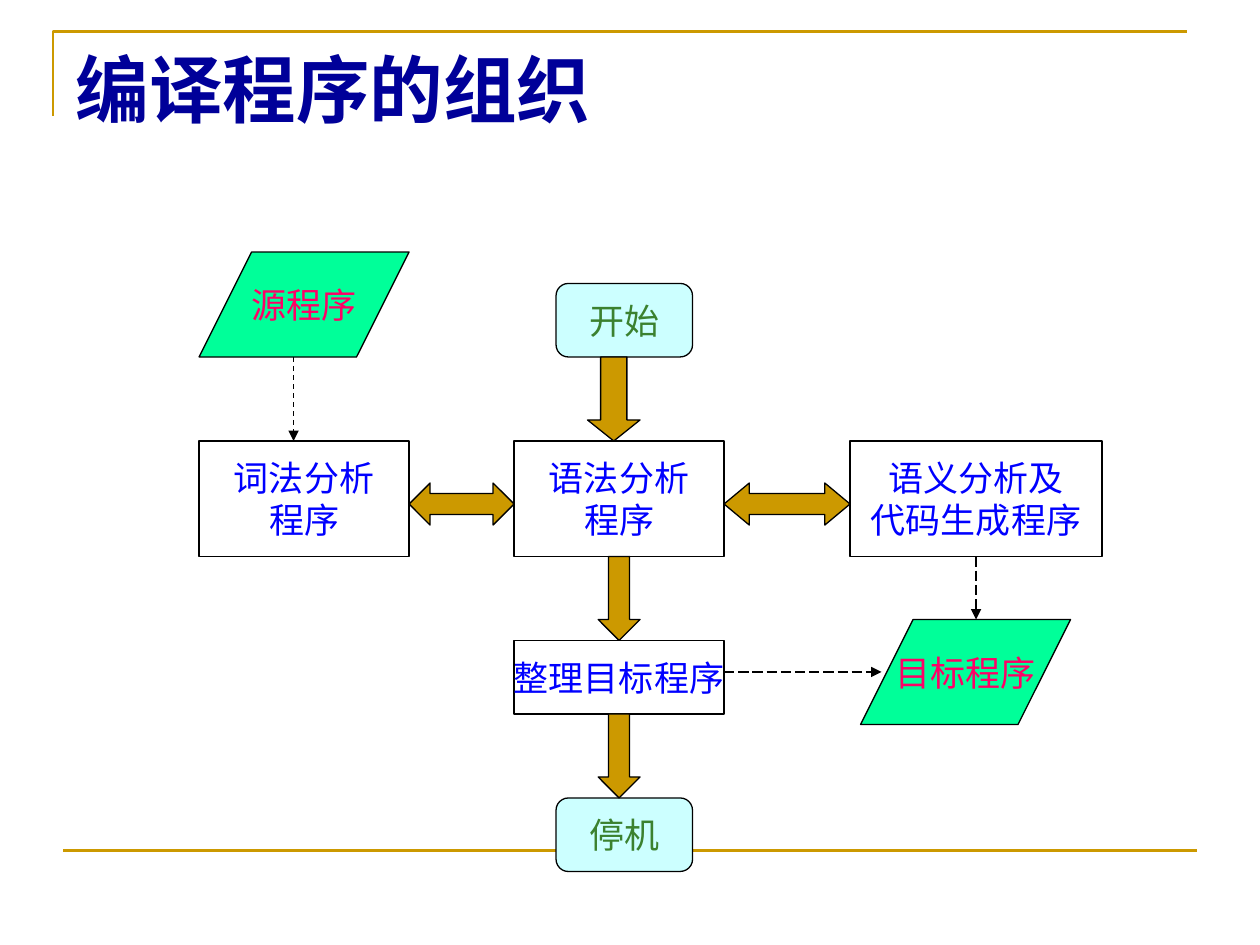
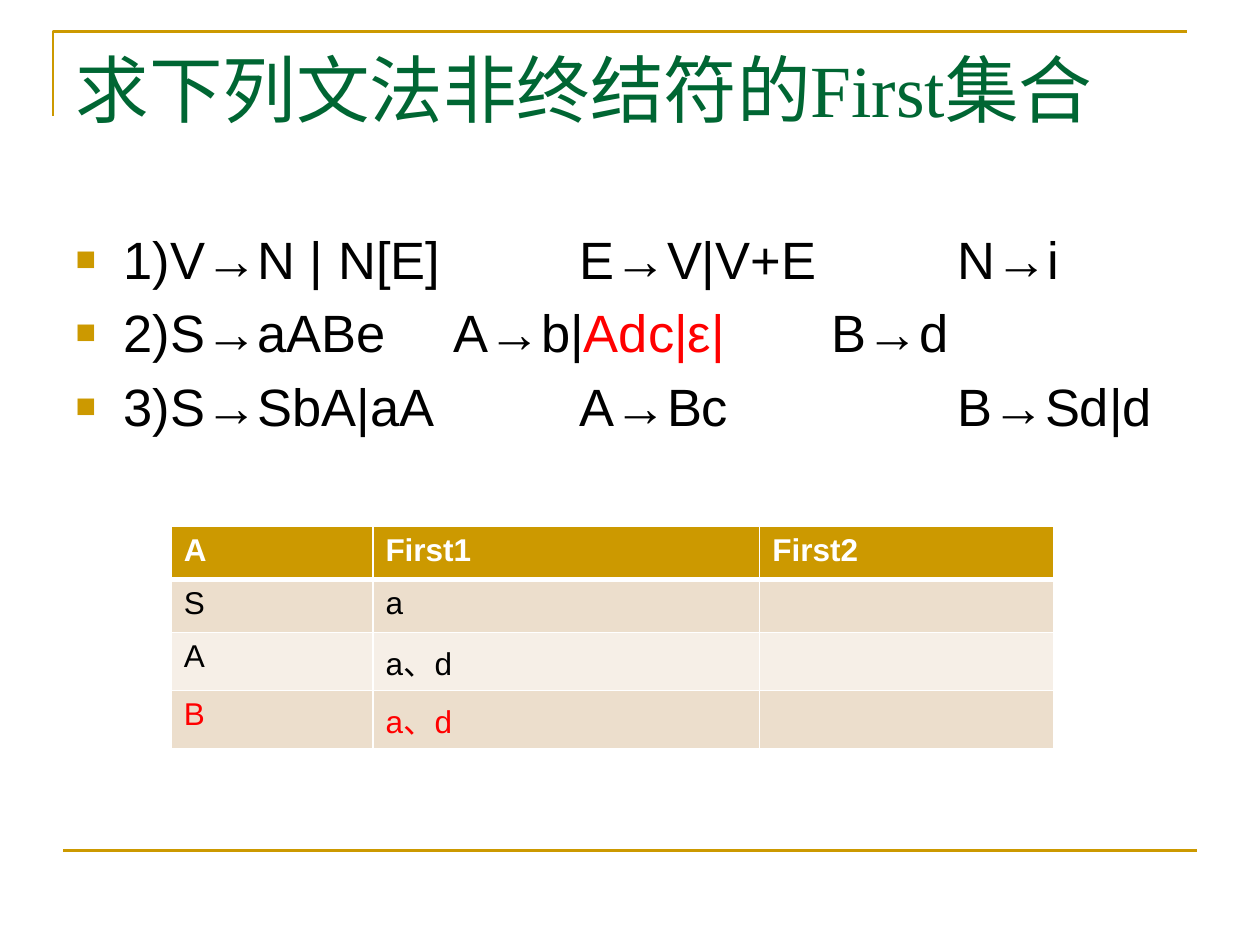
from pptx import Presentation
from pptx.dml.color import RGBColor
from pptx.enum import dml, shapes, text
from pptx.oxml.ns import qn
from pptx.util import Inches, Pt
from lxml import etree

GOLD = RGBColor(0xCC, 0x99, 0x00)
NAVY = RGBColor(0x00, 0x00, 0x99)
PINE = RGBColor(0x00, 0x66, 0x33)
BLUE = RGBColor(0x00, 0x00, 0xFF)
PINK = RGBColor(0xFF, 0x00, 0x66)
MINT = RGBColor(0x00, 0xFF, 0x99)
AQUA = RGBColor(0xCC, 0xFF, 0xFF)
MOSS = RGBColor(0x3B, 0x81, 0x2F)
RED = RGBColor(0xFF, 0x00, 0x00)
BLACK = RGBColor(0x00, 0x00, 0x00)
WHITE = RGBColor(0xFF, 0xFF, 0xFF)
SAND = RGBColor(0xEC, 0xDE, 0xCC)
CREAM = RGBColor(0xF6, 0xEF, 0xE7)

SERIF, SANS = "Times New Roman", "Arial"
KIND = shapes.MSO_SHAPE
DASH = dml.MSO_LINE.DASH
LONG = dml.MSO_LINE.LONG_DASH


# Shared helpers
def sub(parent, tag, **attrs):
    return etree.SubElement(parent, qn(tag), attrs)


def add_run(para, words, font, size, color, bold=False):
    run = para.add_run()
    run.text = words
    run.font.name, run.font.size = font, Pt(size)
    run.font.color.rgb, run.font.bold = color, bold


def add_line(slide, start, end, color, width, dash=None, arrow=False):
    line = slide.shapes.add_connector(
        shapes.MSO_CONNECTOR.STRAIGHT, *start, *end)
    line.line.color.rgb, line.line.width = color, Pt(width)
    if dash:
        line.line.dash_style = dash
    if arrow:
        sub(line.line._get_or_add_ln(), "a:tailEnd", type="triangle")
    sub(line._element.spPr, "a:effectLst")


def place(shape, left, top, width, height):
    shape.left, shape.top = Inches(left), Inches(top)
    shape.width, shape.height = Inches(width), Inches(height)


def add_frame(slide):
    """Corner rule at the top and footer rule."""
    build = slide.shapes.build_freeform(Inches(0.42), Inches(0.92))
    build.add_line_segments([(Inches(0.42), Inches(0.25)),
                             (Inches(9.42), Inches(0.25))], close=False)
    rule = build.convert_to_shape()
    rule.shadow.inherit = False
    rule.fill.background()
    rule.line.color.rgb, rule.line.width = GOLD, Pt(1.5)
    add_line(slide, (Inches(0.5), Inches(6.75)),
             (Inches(9.5), Inches(6.75)), GOLD, 1.5)


def new_slide(deck, layout, title, color, bold=False):
    slide = deck.slides.add_slide(deck.slide_layouts[layout])
    add_frame(slide)
    head = slide.shapes.title
    place(head, 0.5, 0.3, 9, 1.25)
    frame = head.text_frame
    frame.vertical_anchor = text.MSO_ANCHOR.TOP
    frame.auto_size = text.MSO_AUTO_SIZE.NONE
    para = frame.paragraphs[0]
    para.alignment = text.PP_ALIGN.LEFT
    add_run(para, title, SERIF, 42, color, bold)
    return slide


# Flow chart, on a grid of twelfths of an inch
def draw_flow(slide, left, top):
    def unit(count):
        return Inches(count / 12)

    def spot(col, row):
        return left + unit(col), top + unit(row)

    def add_node(kind, col, row, wide, high, fill, color=None, lines=(),
                 adjust=()):
        node = slide.shapes.add_shape(
            kind, *spot(col, row), unit(wide), unit(high))
        node.shadow.inherit = False
        node.fill.solid()
        node.fill.fore_color.rgb = fill
        node.line.color.rgb, node.line.width = BLACK, Pt(0.75)
        for i, value in enumerate(adjust):
            node.adjustments[i] = value
        frame = node.text_frame
        frame.word_wrap = False
        frame.vertical_anchor = text.MSO_ANCHOR.MIDDLE
        for i, words in enumerate(lines):
            para = frame.add_paragraph() if i else frame.paragraphs[0]
            para.alignment = text.PP_ALIGN.CENTER
            add_run(para, words, SERIF, 20, color)

    # Steps
    for col, row, wide, high, lines in [
            (30, 18, 20, 11, ("语法分析", "程序")),
            (62, 18, 24, 11, ("语义分析及", "代码生成程序")),
            (0, 18, 20, 11, ("词法分析", "程序")),
            (30, 37, 20, 7, ("整理目标程序",))]:
        add_node(KIND.RECTANGLE, col, row, wide, high, WHITE, BLUE, lines)

    # Data in and out
    for col, row, words in [(0, 0, "源程序"), (63, 35, "目标程序")]:
        add_node(KIND.PARALLELOGRAM, col, row, 20, 10, MINT, PINK,
                 [words], [0.5])

    # Start and stop
    for row, words in [(52, "停机"), (3, "开始")]:
        add_node(KIND.ROUNDED_RECTANGLE, 34, row, 13, 7, AQUA, MOSS, [words])

    # Block arrows
    for kind, col, row, wide, high, tip in [
            (KIND.DOWN_ARROW, 37, 10, 5, 8, 0.4),
            (KIND.DOWN_ARROW, 38, 29, 4, 8, 0.5),
            (KIND.DOWN_ARROW, 38, 44, 4, 8, 0.5),
            (KIND.LEFT_RIGHT_ARROW, 20, 22, 10, 4, 0.5),
            (KIND.LEFT_RIGHT_ARROW, 50, 22, 12, 4, 0.6)]:
        add_node(kind, col, row, wide, high, GOLD, adjust=(0.5, tip))

    # Dashed data links
    for start, end, dash in [((50, 40), (65, 40), LONG),
                             ((74, 29), (74, 35), LONG),
                             ((9, 10), (9, 18), DASH)]:
        add_line(slide, spot(*start), spot(*end), BLACK, 0.75, dash, True)


# Grammar list
def fill_list(body, rules):
    place(body, 0.5, 1.75, 9, 4.95)
    frame = body.text_frame
    frame.auto_size = text.MSO_AUTO_SIZE.NONE
    for i, parts in enumerate(rules):
        para = frame.add_paragraph() if i else frame.paragraphs[0]
        para.space_before = Pt(6 if i else 0)
        props = para._p.get_or_add_pPr()
        indent = Inches(0.38)
        props.set("marL", str(indent))
        props.set("indent", str(-indent))
        props.set("defTabSz", str(Inches(1)))
        tint = sub(props, "a:buClr")
        sub(tint, "a:srgbClr", val=str(GOLD))
        sub(props, "a:buSzPct", val="65000")
        sub(props, "a:buFont", typeface=SANS)
        sub(props, "a:buChar", char="■")
        for words, color in parts:
            add_run(para, words, SANS, 30, color)


# Table of First sets
def set_edges(cell, bottom):
    props = cell._tc.get_or_add_tcPr()
    edges = zip(("a:lnL", "a:lnR", "a:lnT", "a:lnB"), (1, 1, 1, bottom))
    for i, (tag, width) in enumerate(edges):
        edge = etree.Element(qn(tag), w=str(Pt(width)))
        sub(sub(edge, "a:solidFill"), "a:srgbClr", val=str(WHITE))
        props.insert(i, edge)


def draw_table(slide, left, top, rows):
    widths = (1.6, 3.07, 2.33)
    high = Inches(0.42)
    grid = slide.shapes.add_table(len(rows), len(widths), left, top,
                                  Inches(sum(widths)), high * len(rows)).table
    for col, width in zip(grid.columns, widths):
        col.width = Inches(width)
    for r, (fill, color, words) in enumerate(rows):
        grid.rows[r].height = high
        for c, word in enumerate(words):
            cell = grid.cell(r, c)
            cell.fill.solid()
            cell.fill.fore_color.rgb = fill
            set_edges(cell, 1 if r else 3)
            para = cell.text_frame.paragraphs[0]
            if word:
                add_run(para, word, SANS, 18, color, r == 0)
            else:
                para.font.size = Pt(18)


def main():
    deck = Presentation()
    deck.slide_width, deck.slide_height = Inches(10), Inches(7.5)

    slide = new_slide(deck, 5, "编译程序的组织", NAVY, True)
    draw_flow(slide, Inches(1.58), Inches(2))

    slide = new_slide(deck, 1, "求下列文法非终结符的First集合", PINE)
    fill_list(slide.placeholders[1], [
        [("1)V→N | N[E] \tE→V|V+E\t\tN→i", BLACK)],
        [("2)S→aABe \tA→b|", BLACK), ("Adc|ε|", RED), ("\tB→d", BLACK)],
        [("3)S→SbA|aA \t\tA→Bc\t\tB→Sd|d", BLACK)]])
    draw_table(slide, Inches(1.36), Inches(4.18), [
        (GOLD, WHITE, ("A", "First1", "First2")),
        (SAND, BLACK, ("S", "a", "")),
        (CREAM, BLACK, ("A", "a、d", "")),
        (SAND, RED, ("B", "a、d", ""))])
    deck.save("out.pptx")


if __name__ == "__main__":
    main()
